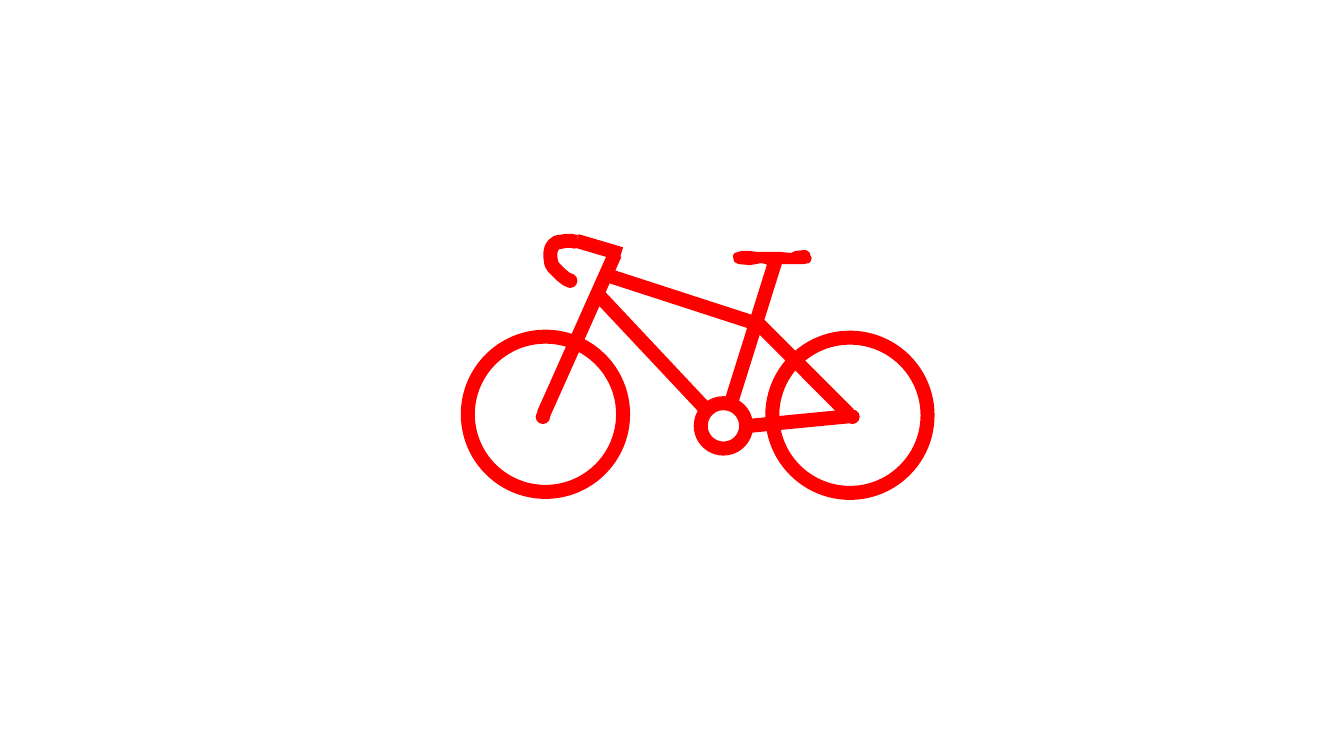
import lxml.etree
import pptx
import pptx.dml.color
import pptx.enum.shapes
import pptx.oxml.ns
import pptx.util

PX = 9144
RED = "FF0000"
TUBE = 10


def color(value):
    return pptx.dml.color.RGBColor.from_string(value)


class Sketch:
    def __init__(self, s, stroke):
        self.shapes = s.shapes.add_group_shape().shapes
        self.stroke = stroke

    def style(self, sp, width, filled):
        sp.shadow.inherit = False
        if filled:
            sp.fill.solid()
            sp.fill.fore_color.rgb = color(self.stroke)
        else:
            sp.fill.background()
        self.outline(sp, width)

    def outline(self, sp, width):
        sp.line.color.rgb = color(self.stroke)
        sp.line.width = pptx.util.Pt(width)

    def tube(self, x1, y1, x2, y2):
        sp = self.shapes.add_connector(
            pptx.enum.shapes.MSO_CONNECTOR.STRAIGHT, x1 * PX, y1 * PX, x2 * PX, y2 * PX)
        self.outline(sp, TUBE)
        lxml.etree.SubElement(sp._element.spPr, pptx.oxml.ns.qn("a:effectLst"))

    def circle(self, x, y, size, width=TUBE, filled=False):
        sp = self.shapes.add_shape(
            pptx.enum.shapes.MSO_SHAPE.OVAL, x * PX, y * PX, size * PX, size * PX)
        self.style(sp, width, filled)

    def dot(self, x, y):
        self.circle(x, y, 13, width=1, filled=True)

    def outline_path(self, points, width=TUBE, closed=False):
        builder = self.shapes.build_freeform(*points[0], scale=PX)
        builder.add_line_segments(points[1:], close=closed)
        self.style(builder.convert_to_shape(), width, closed)


FRAME = [
    (593, 292, 701, 407),
    (599, 272, 753, 322),
    (770, 256, 724, 403),
    (753, 322, 842, 411),
    (738, 423, 842, 413),
    (539, 411, 610, 252),
    (572, 239, 616, 252),
]
WHEELS = [(766, 335), (464, 334)]
HUBS = [(839, 407), (532, 407)]
SADDLE = [
    (799, 249), (789, 250), (785, 252), (773, 251), (751, 251), (743, 250),
    (736, 250), (729, 252), (728, 254), (729, 259), (733, 261), (744, 262),
    (755, 260), (760, 261), (763, 263), (775, 261), (797, 261), (802, 260),
    (803, 259), (804, 256), (803, 254), (802, 251),
]
HANDLEBAR = [
    (572, 240), (567, 239), (561, 239), (556, 240), (553, 240), (549, 243),
    (547, 246), (546, 250), (546, 256), (547, 262), (549, 265), (553, 269),
    (557, 273), (562, 277), (565, 278),
]

prs = pptx.Presentation()
prs.slide_width = 1333 * PX
prs.slide_height = 750 * PX
s = prs.slides.add_slide(prs.slide_layouts[6])

bike = Sketch(s, RED)
for ends in FRAME:
    bike.tube(*ends)
for x, y in WHEELS:
    bike.circle(x, y, 154)
bike.circle(695, 400, 45)
for x, y in HUBS:
    bike.dot(x, y)
bike.outline_path(SADDLE, width=1.5, closed=True)
bike.outline_path(HANDLEBAR)
bike.dot(559, 272)

prs.save("out.pptx")
